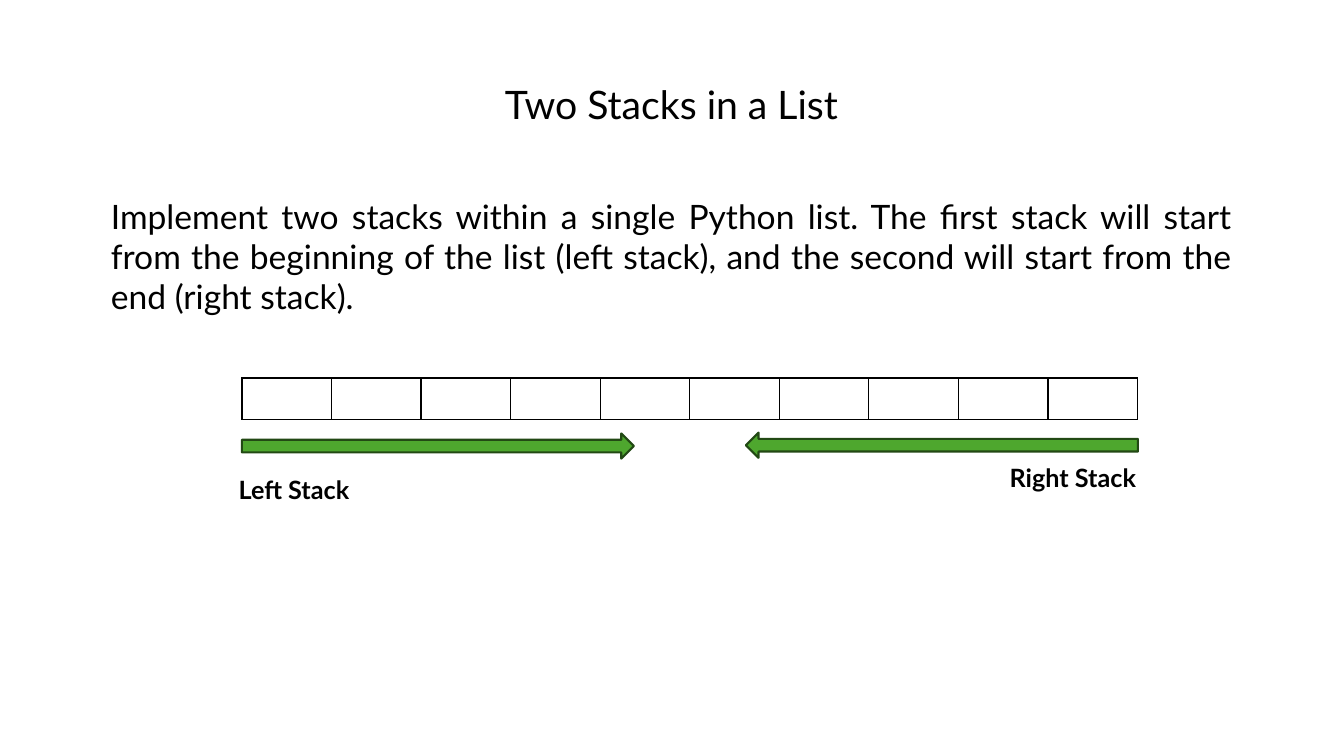
import pptx
import pptx.util
import pptx.dml.color
import pptx.enum.shapes
import pptx.enum.text
import pptx.oxml
import pptx.oxml.ns

Pt = pptx.util.Pt
ALIGN = pptx.enum.text.PP_ALIGN
FIT = pptx.enum.text.MSO_AUTO_SIZE
COLORS = {"text": "000000", "border": "000000", "arrow": "4EA72E", "arrow_line": "224914"}
FONT = "Lato"

# The list and everything aligned to its two ends
LIST_LEFT, LIST_TOP, LIST_WIDTH, LIST_HEIGHT = 172.8, 270, 640, 29.5
CELLS = 10
ARROW_WIDTH, ARROW_HEIGHT = 280, 18


def rgb(name):
    return pptx.dml.color.RGBColor.from_string(COLORS[name])


def place(shape, left, top, width, height):
    shape.left, shape.top = Pt(left), Pt(top)
    shape.width, shape.height = Pt(width), Pt(height)


def write(shape, text, size=18, bold=False, align=ALIGN.LEFT, wrap=True, fit=FIT.SHAPE_TO_FIT_TEXT):
    tf = shape.text_frame
    tf.word_wrap = wrap
    tf.auto_size = fit
    tf.vertical_anchor = pptx.enum.text.MSO_ANCHOR.TOP
    p = tf.paragraphs[0]
    p.alignment = align
    p.space_before = Pt(0)
    r = p.add_run()
    r.text = text
    r.font.name = FONT
    r.font.size = Pt(size)
    r.font.bold = bold
    r.font.color.rgb = rgb("text")
    return p


def remove_bullet(p):
    pPr = p._p.get_or_add_pPr()
    pPr.set("marL", "0")
    pPr.set("indent", "0")
    pPr.append(pptx.oxml.parse_xml(f'<a:buNone {pptx.oxml.ns.nsdecls("a")}/>'))


def add_borders(cell, width=1):
    tcPr = cell._tc.get_or_add_tcPr()
    for i, side in enumerate(("lnL", "lnR", "lnT", "lnB")):
        tcPr.insert(i, pptx.oxml.parse_xml(
            f'<a:{side} {pptx.oxml.ns.nsdecls("a")} w="{Pt(width)}"><a:solidFill>'
            f'<a:srgbClr val="{COLORS["border"]}"/></a:solidFill></a:{side}>'))


def add_list(s):
    table = s.shapes.add_table(1, CELLS, Pt(LIST_LEFT), Pt(LIST_TOP),
                               Pt(LIST_WIDTH), Pt(LIST_HEIGHT)).table
    table.first_row = table.horz_banding = False
    for cell in table.iter_cells():
        cell.fill.background()
        add_borders(cell)


def add_arrow(s, left, top, rotation=0):
    sp = s.shapes.add_shape(pptx.enum.shapes.MSO_SHAPE.RIGHT_ARROW, Pt(left), Pt(top),
                            Pt(ARROW_WIDTH), Pt(ARROW_HEIGHT))
    sp.rotation = rotation
    sp.shadow.inherit = False
    sp.fill.solid()
    sp.fill.fore_color.rgb = rgb("arrow")
    sp.line.color.rgb = rgb("arrow_line")
    sp.line.width = Pt(1.5)


def add_label(s, text, left, top, width):
    sp = s.shapes.add_textbox(Pt(left), Pt(top), Pt(width), Pt(29))
    write(sp, text, bold=True, wrap=False)


def main():
    prs = pptx.Presentation()
    prs.slide_width, prs.slide_height = Pt(960), Pt(540)
    s = prs.slides.add_slide(prs.slide_layouts[1])

    # Title and task
    title, body = s.shapes.title, s.placeholders[1]
    place(title, 353.5, 54, 557, 41)
    write(title, "Two Stacks in a List", size=28)
    place(body, 72, 136, 815, 121)
    p = write(body, "Implement two stacks within a single Python list. The first stack will start "
              "from the beginning of the list (left stack), and the second will start from the "
              "end (right stack).", size=24, align=ALIGN.JUSTIFY, fit=FIT.NONE)
    remove_bullet(p)

    # List with a stack growing from each end
    add_list(s)
    add_arrow(s, LIST_LEFT, 309.6)
    add_label(s, "Left Stack", 163.4, 335.5, 97)
    add_arrow(s, LIST_LEFT + LIST_WIDTH - ARROW_WIDTH, 309, rotation=180)
    add_label(s, "Right Stack", 714.2, 327, 108)

    prs.save("out.pptx")


if __name__ == "__main__":
    main()
